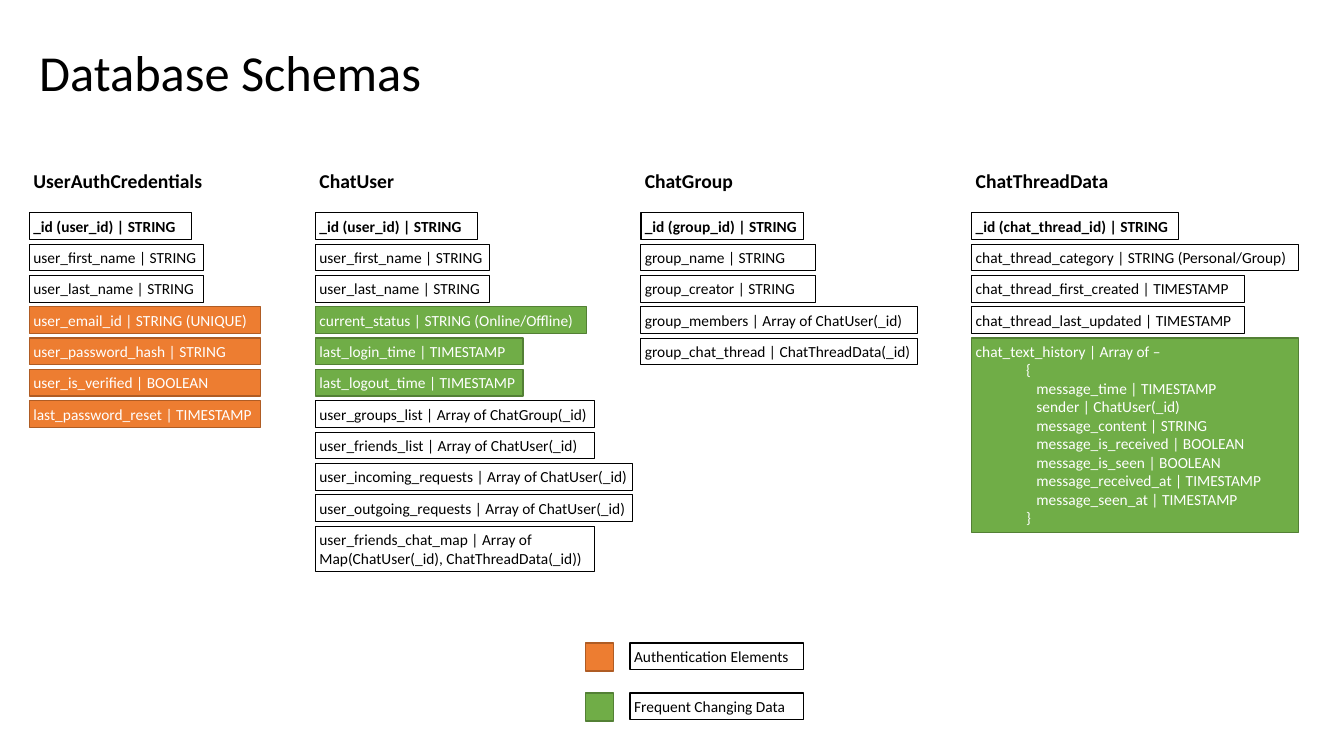
from pptx import Presentation
from pptx.dml.color import RGBColor
from pptx.enum.shapes import MSO_SHAPE
from pptx.enum.text import MSO_ANCHOR, MSO_AUTO_SIZE, PP_ALIGN
from pptx.util import Cm, Pt

RECT = MSO_SHAPE.RECTANGLE
TOP, MIDDLE = MSO_ANCHOR.TOP, MSO_ANCHOR.MIDDLE
LEFT = PP_ALIGN.LEFT
GROW = MSO_AUTO_SIZE.SHAPE_TO_FIT_TEXT

# Box kinds: fill, line, line width, text colour, bold
KINDS = {
    "heading": ("FFFFFF", None, 0, "000000", True),
    "key": ("FFFFFF", "000000", 1, "000000", True),
    "plain": ("FFFFFF", "000000", 0.5, "000000", False),
    "label": ("FFFFFF", "000000", 1, "000000", False),
    "auth": ("ED7D31", "AF5C24", 1, "FFFFFF", False),
    "live": ("70AD47", "538035", 1, "FFFFFF", False),
}

HEADING_TOP, ROWS_TOP, ROW_STEP, ROW_H = 4.14, 5.36, 0.79, 0.67

# Schemas: name, left, fields as (text, width, kind)
SCHEMAS = [
    ("UserAuthCredentials", 0.74, [
        ("_id (user_id) | STRING", 4.09, "key"),
        ("user_first_name | STRING", 4.39, "plain"),
        ("user_last_name | STRING", 4.39, "plain"),
        ("user_email_id | STRING (UNIQUE)", 5.82, "auth"),
        ("user_password_hash | STRING", 5.82, "auth"),
        ("user_is_verified | BOOLEAN", 5.82, "auth"),
        ("last_password_reset | TIMESTAMP", 5.82, "auth"),
    ]),
    ("ChatUser", 7.95, [
        ("_id (user_id) | STRING", 4.09, "key"),
        ("user_first_name | STRING", 4.39, "plain"),
        ("user_last_name | STRING", 4.39, "plain"),
        ("current_status | STRING (Online/Offline)", 6.83, "live"),
        ("last_login_time | TIMESTAMP", 5.23, "live"),
        ("last_logout_time | TIMESTAMP", 5.23, "live"),
        ("user_groups_list | Array of ChatGroup(_id)", 7.04, "plain"),
        ("user_friends_list | Array of ChatUser(_id)", 7.04, "plain"),
        ("user_incoming_requests | Array of ChatUser(_id)", 7.98, "plain"),
        ("user_outgoing_requests | Array of ChatUser(_id)", 7.98, "plain"),
    ]),
    ("ChatGroup", 16.15, [
        ("_id (group_id) | STRING", 4.1, "key"),
        ("group_name | STRING", 4.39, "plain"),
        ("group_creator | STRING", 4.39, "plain"),
        ("group_members | Array of ChatUser(_id)", 6.98, "plain"),
        ("group_chat_thread | ChatThreadData(_id)", 6.98, "plain"),
    ]),
    ("ChatThreadData", 24.49, [
        ("_id (chat_thread_id) | STRING", 5.21, "key"),
        ("chat_thread_category | STRING (Personal/Group)", 8.23, "plain"),
        ("chat_thread_first_created | TIMESTAMP", 6.88, "plain"),
        ("chat_thread_last_updated | TIMESTAMP", 6.88, "plain"),
    ]),
]

MESSAGE_FIELDS = [
    "message_time | TIMESTAMP",
    "sender | ChatUser(_id)",
    "message_content | STRING",
    "message_is_received | BOOLEAN",
    "message_is_seen | BOOLEAN",
    "message_received_at | TIMESTAMP",
    "message_seen_at | TIMESTAMP",
]

LEGEND = [("Authentication Elements", "auth"), ("Frequent Changing Data", "live")]


def rgb(value):
    return RGBColor.from_string(value)


def write(p, text, size=11, color="000000", bold=False, font="Calibri", indent=0):
    p.alignment = LEFT
    if indent:
        p._p.get_or_add_pPr().set("marL", str(Cm(indent)))
    r = p.add_run()
    r.text = text
    r.font.name = font
    r.font.size = Pt(size)
    r.font.bold = bold
    r.font.color.rgb = rgb(color)


def row_top(row):
    return ROWS_TOP + row * ROW_STEP


class SchemaSlide:
    def __init__(self, prs):
        self.s = prs.slides.add_slide(prs.slide_layouts[6])
        self.inset = Cm(0.1)

    def title(self, text, x, y, w, h):
        tf = self.s.shapes.add_textbox(Cm(x), Cm(y), Cm(w), Cm(h)).text_frame
        tf.word_wrap = True
        tf.vertical_anchor = MIDDLE
        tf.paragraphs[0].line_spacing = 0.9
        write(tf.paragraphs[0], text, size=36)

    def rect(self, x, y, w, h, kind):
        fill, line, width, _, _ = KINDS[kind]
        sp = self.s.shapes.add_shape(RECT, Cm(x), Cm(y), Cm(w), Cm(h))
        sp.shadow.inherit = False
        sp.fill.solid()
        sp.fill.fore_color.rgb = rgb(fill)
        if line:
            sp.line.color.rgb = rgb(line)
            sp.line.width = Pt(width)
        else:
            sp.line.fill.background()
        return sp

    def box(self, lines, x, y, w, h, kind, size=11, anchor=MIDDLE):
        """Draw a rectangle holding (text, indent) lines."""
        _, _, _, color, bold = KINDS[kind]
        tf = self.rect(x, y, w, h, kind).text_frame
        tf.word_wrap = True
        tf.auto_size = GROW
        tf.vertical_anchor = anchor
        tf.margin_left = tf.margin_right = self.inset
        tf.margin_top = tf.margin_bottom = self.inset
        for i, (text, indent) in enumerate(lines):
            p = tf.add_paragraph() if i else tf.paragraphs[0]
            write(p, text, size=size, color=color, bold=bold, indent=indent)

    def schema(self, name, x, fields):
        self.box([(name, 0)], x, HEADING_TOP, 4.6, 0.81, "heading", size=14)
        for row, (text, w, kind) in enumerate(fields):
            self.box([(text, 0)], x, row_top(row), w, ROW_H, kind)

    def legend_entry(self, text, kind, y):
        self.rect(14.76, y, 0.71, 0.71, kind)
        self.box([(text, 0)], 15.88, y, 4.37, ROW_H, "label")


def main():
    prs = Presentation()
    prs.slide_width, prs.slide_height = Cm(33.87), Cm(19.05)
    slide = SchemaSlide(prs)
    slide.title("Database Schemas", 0.74, 0.97, 29.21, 1.83)

    # Schema columns
    for name, x, fields in SCHEMAS:
        slide.schema(name, x, fields)

    # Fields that span several lines
    chat_map = "user_friends_chat_map | Array of Map(ChatUser(_id), ChatThreadData(_id))"
    slide.box([(chat_map, 0)], 7.95, row_top(10), 7.04, 1.14, "plain")
    history = [("chat_text_history | Array of –", 0), ("{", 1.27)]
    history += [(field, 1.53) for field in MESSAGE_FIELDS]
    history.append(("}", 1.27))
    slide.box(history, 24.49, row_top(4), 8.23, 4.9, "live", anchor=TOP)

    # Legend
    for i, (text, kind) in enumerate(LEGEND):
        slide.legend_entry(text, kind, 16.2 + i * 1.26)

    prs.save("out.pptx")


if __name__ == "__main__":
    main()
